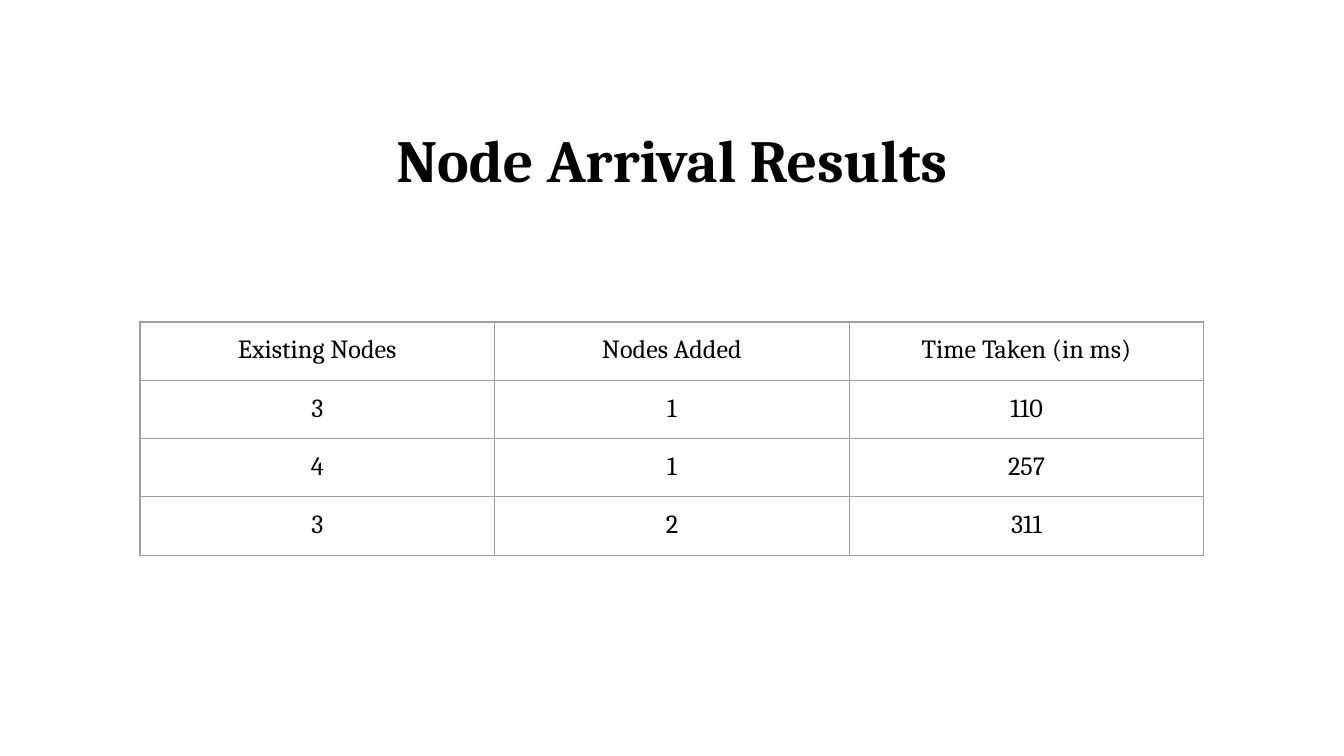
"""Build the node arrival results slide."""
from dataclasses import dataclass

import lxml.etree
import pptx
import pptx.dml.color
import pptx.enum.text
import pptx.oxml.ns
import pptx.slide
import pptx.table
import pptx.text.text
import pptx.util

Pt = pptx.util.Pt
COLOURS = {"text": "000000", "border": "9E9E9E"}
FONT = "Cambria"
INSET = 7.2
ROWS = [
    ("Existing Nodes", "Nodes Added", "Time Taken (in ms)"),
    ("3", "1", "110"),
    ("4", "1", "257"),
    ("3", "2", "311"),
]


@dataclass(frozen=True)
class TextStyle:
    size: float
    bold: bool = False


@dataclass(frozen=True)
class Grid:
    left: float
    top: float
    column_width: float
    row_height: float
    border_width: float


TITLE = TextStyle(32, bold=True)
BODY = TextStyle(14)
RESULTS = Grid(left=75, top=172.5, column_width=190, row_height=30.5, border_width=0.75)


def write_text(frame: pptx.text.text.TextFrame, text: str, style: TextStyle) -> None:
    para = frame.paragraphs[0]
    para.alignment = pptx.enum.text.PP_ALIGN.CENTER
    span = para.add_run()
    span.text = text
    span.font.name = FONT
    span.font.size = Pt(style.size)
    span.font.bold = style.bold
    span.font.color.rgb = pptx.dml.color.RGBColor.from_string(COLOURS["text"])


def set_insets(holder: pptx.text.text.TextFrame | pptx.table._Cell) -> None:
    holder.margin_left = holder.margin_right = Pt(INSET)
    holder.margin_top = holder.margin_bottom = Pt(INSET)


def draw_borders(cell: pptx.table._Cell, width: float) -> None:
    qn = pptx.oxml.ns.qn
    properties = cell._tc.get_or_add_tcPr()
    for side in ("a:lnL", "a:lnR", "a:lnT", "a:lnB"):
        line = lxml.etree.SubElement(properties, qn(side), w=str(Pt(width)))
        fill = lxml.etree.SubElement(line, qn("a:solidFill"))
        lxml.etree.SubElement(fill, qn("a:srgbClr"), val=COLOURS["border"])


def draw_title(page: pptx.slide.Slide, text: str) -> None:
    box = page.shapes.add_textbox(Pt(36), Pt(53.5), Pt(648), Pt(63))
    frame = box.text_frame
    frame.word_wrap = True
    frame.vertical_anchor = pptx.enum.text.MSO_ANCHOR.MIDDLE
    set_insets(frame)
    write_text(frame, text, TITLE)


def draw_table(page: pptx.slide.Slide, grid: Grid, rows: list[tuple[str, ...]]) -> None:
    columns = len(rows[0])
    table = page.shapes.add_table(
        len(rows), columns, Pt(grid.left), Pt(grid.top),
        Pt(grid.column_width * columns), Pt(grid.row_height * len(rows)),
    ).table
    table.first_row = False
    table.horz_banding = False
    for row, texts in enumerate(rows):
        for column, text in enumerate(texts):
            cell = table.cell(row, column)
            set_insets(cell)
            write_text(cell.text_frame, text, BODY)
            draw_borders(cell, grid.border_width)
            cell.fill.background()


def main() -> None:
    deck = pptx.Presentation()
    deck.slide_width = Pt(720)
    deck.slide_height = Pt(405)
    page = deck.slides.add_slide(deck.slide_layouts[6])
    draw_title(page, "Node Arrival Results")
    draw_table(page, RESULTS, ROWS)
    deck.save("out.pptx")


if __name__ == "__main__":
    main()
